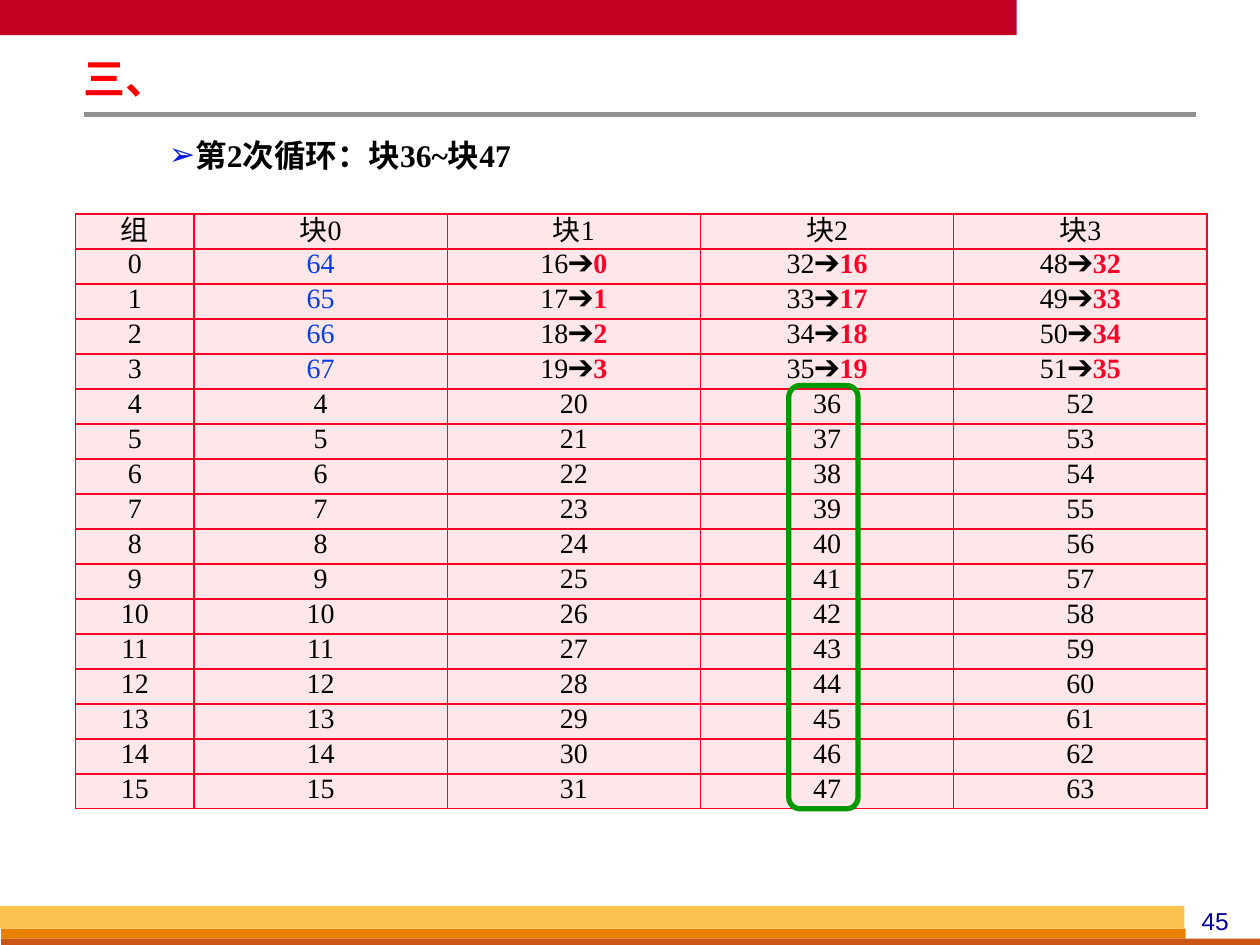
from dataclasses import dataclass

from lxml import etree
from pptx import Presentation
from pptx import util as u
from pptx.dml.color import RGBColor
from pptx.enum import shapes, text
from pptx.oxml import ns


@dataclass(frozen=True)
class Theme:
    serif: str = "Times New Roman"
    sans: str = "Arial"
    title_size: int = 24
    body_size: int = 18
    table_size: int = 16
    number_size: int = 14
    banner: str = "C30224"
    rule: str = "919191"
    footer_light: str = "FCC24F"
    footer_middle: str = "E88000"
    footer_dark: str = "C95616"
    number: str = "000099"
    title: str = "FF0000"
    ink: str = "000000"
    bullet: str = "001ADC"
    added: str = "063DE8"
    replaced: str = "FC0128"
    border: str = "FC0128"
    cell: str = "FEE7E8"
    highlight: str = "009900"


def apply(target, values):
    for name, value in values.items():
        setattr(target, name, value)


def add_element(parent, tag, **attributes):
    return etree.SubElement(parent, ns.qn(tag), attributes)


class SlideBuilder:
    def __init__(self, slide, theme):
        self.slide = slide
        self.theme = theme

    def run(self, paragraph, words, size, color, bold=False, font=None):
        run = paragraph.add_run()
        run.text = words
        apply(run.font, {"name": font or self.theme.serif, "size": u.Pt(size), "bold": bold})
        run.font.color.rgb = RGBColor.from_string(color)

    def bar(self, left, top, width, height, color):
        shape = self.slide.shapes.add_shape(
            shapes.MSO_SHAPE.RECTANGLE, *map(u.Inches, (left, top, width, height)))
        shape.shadow.inherit = False
        shape.fill.solid()
        shape.fill.fore_color.rgb = RGBColor.from_string(color)
        shape.line.fill.background()

    def line(self, x1, y1, x2, y2, color, width):
        connector = self.slide.shapes.add_connector(
            shapes.MSO_CONNECTOR.STRAIGHT, *map(u.Inches, (x1, y1, x2, y2)))
        connector.line.color.rgb = RGBColor.from_string(color)
        connector.line.width = u.Pt(width)
        add_element(connector.element.spPr, "a:effectLst")

    def outline(self, left, top, width, height, color, line_width):
        shape = self.slide.shapes.add_shape(
            shapes.MSO_SHAPE.ROUNDED_RECTANGLE, *map(u.Inches, (left, top, width, height)))
        shape.shadow.inherit = False
        shape.fill.background()
        shape.line.color.rgb = RGBColor.from_string(color)
        shape.line.width = u.Pt(line_width)

    def number(self, words, left, top, width, height):
        box = self.slide.shapes.add_textbox(*map(u.Inches, (left, top, width, height)))
        box.text_frame.word_wrap = True
        paragraph = box.text_frame.paragraphs[0]
        paragraph.alignment = text.PP_ALIGN.CENTER
        self.run(paragraph, words, self.theme.number_size, self.theme.number,
                 font=self.theme.sans)

    def placeholder(self, shape, left, top, width, height, anchor):
        apply(shape, {"left": u.Inches(left), "top": u.Inches(top),
                      "width": u.Inches(width), "height": u.Inches(height)})
        apply(shape.text_frame, {
            "margin_left": u.Inches(0.07), "margin_right": u.Inches(0.07),
            "margin_top": u.Inches(0.03), "margin_bottom": u.Inches(0.03),
            "word_wrap": True, "vertical_anchor": anchor,
            "auto_size": text.MSO_AUTO_SIZE.SHAPE_TO_FIT_TEXT})
        return shape.text_frame.paragraphs[0]

    def title(self, words, *place):
        paragraph = self.placeholder(self.slide.shapes.title, *place, text.MSO_ANCHOR.MIDDLE)
        apply(paragraph, {"alignment": text.PP_ALIGN.LEFT, "line_spacing": 0.87})
        self.run(paragraph, words, self.theme.title_size, self.theme.title, bold=True)

    def bullet(self, words, *place):
        paragraph = self.placeholder(self.slide.placeholders[1], *place, text.MSO_ANCHOR.TOP)
        apply(paragraph, {"level": 1, "line_spacing": 1.2, "space_before": u.Pt(0),
                          "space_after": u.Pt(4)})
        properties = paragraph._p.get_or_add_pPr()
        properties.set("marL", str(u.Inches(0.73)))
        properties.set("indent", str(u.Inches(-0.21)))
        color = add_element(properties, "a:buClr")
        add_element(color, "a:srgbClr", val=self.theme.bullet)
        add_element(properties, "a:buFont", typeface=self.theme.sans)
        add_element(properties, "a:buChar", char="➢")
        self.run(paragraph, words, self.theme.body_size, self.theme.ink, bold=True)

    def cell(self, cell, runs):
        properties = cell._tc.get_or_add_tcPr()
        for side in ("a:lnL", "a:lnR", "a:lnT", "a:lnB"):
            border = add_element(properties, side, w=str(u.Pt(1)))
            add_element(add_element(border, "a:solidFill"), "a:srgbClr", val=self.theme.border)
        cell.fill.solid()
        cell.fill.fore_color.rgb = RGBColor.from_string(self.theme.cell)
        apply(cell, {"margin_top": 0, "margin_bottom": 0,
                     "vertical_anchor": text.MSO_ANCHOR.MIDDLE})
        paragraph = cell.text_frame.paragraphs[0]
        apply(paragraph, {"alignment": text.PP_ALIGN.CENTER, "line_spacing": 0.75,
                          "space_before": u.Pt(0)})
        for words, color, bold in runs:
            self.run(paragraph, words, self.theme.table_size, color, bold)

    def table(self, rows, left, top, widths, height):
        frame = self.slide.shapes.add_table(
            len(rows), len(widths), *map(u.Inches, (left, top, sum(widths), height)))
        table = frame.table
        apply(table, {"first_row": False, "horz_banding": False})
        for column, width in zip(table.columns, widths):
            column.width = u.Inches(width)
        for row, contents in zip(table.rows, rows):
            row.height = u.Inches(height / len(rows))
            for cell, runs in zip(row.cells, contents):
                self.cell(cell, runs)


def cache_rows(theme, groups=16, ways=4, replaced_groups=4):
    """Each group holds one block per way; the first groups are overwritten."""
    def plain(words, color=theme.ink):
        return [(str(words), color, False)]

    rows = [[plain("组")] + [plain(f"块{way}") for way in range(ways)]]
    for group in range(groups):
        row = [plain(group)]
        for way in range(ways):
            block = way * groups + group
            if group >= replaced_groups:
                row.append(plain(block))
            elif way == 0:
                row.append(plain(ways * groups + group, theme.added))
            else:
                row.append(plain(f"{block}➔")
                           + [(str(block - groups), theme.replaced, True)])
        rows.append(row)
    return rows


def main():
    presentation = Presentation()
    apply(presentation, {"slide_width": u.Inches(10), "slide_height": u.Inches(7.5)})
    theme = Theme()
    builder = SlideBuilder(presentation.slides.add_slide(presentation.slide_layouts[1]), theme)

    # Banner, title rule and footer
    builder.bar(0, 0, 8.07, 0.28, theme.banner)
    builder.line(0.67, 0.91, 9.49, 0.91, theme.rule, 3)
    builder.bar(0.01, 7.37, 9.4, 0.08, theme.footer_middle)
    builder.bar(0.01, 7.45, 10, 0.08, theme.footer_dark)
    builder.bar(0, 7.19, 9.4, 0.18, theme.footer_light)
    builder.number("45", 9.33, 7.14, 0.63, 0.33)

    # Heading and bullet
    builder.title("三、", 0.59, 0.44, 5.75, 0.41)
    builder.bullet("第2次循环：块36~块47", 0.75, 0.99, 8.58, 0.42)

    # Cache table with the blocks of this loop marked
    builder.table(cache_rows(theme), 0.6, 1.7, [0.94] + [2.01] * 4, 4.72)
    builder.outline(6.26, 3.06, 0.55, 3.36, theme.highlight, 3)

    presentation.save("out.pptx")


if __name__ == "__main__":
    main()
